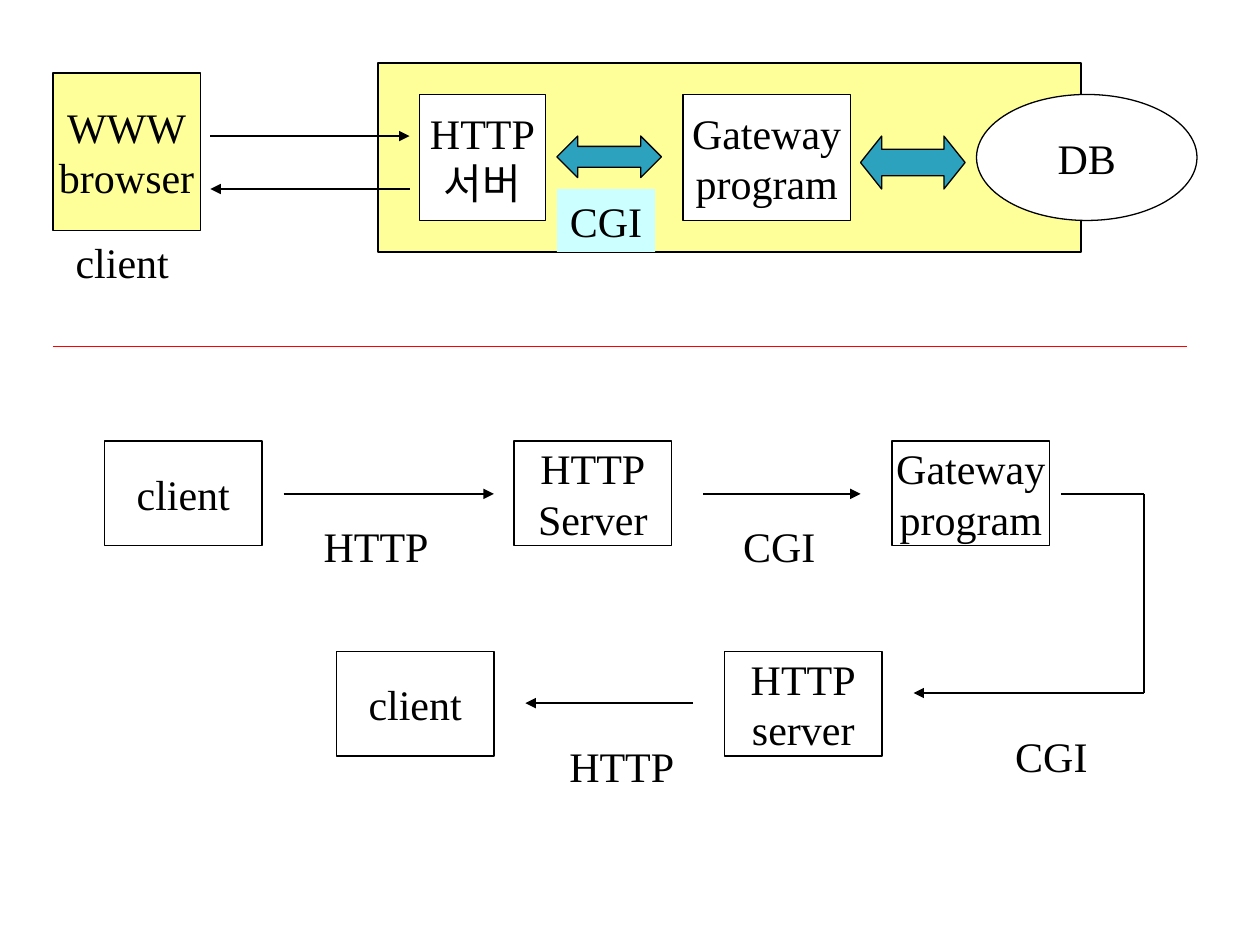
from pptx import Presentation
from pptx.dml.color import RGBColor
from pptx.enum.shapes import MSO_CONNECTOR, MSO_SHAPE
from pptx.enum.text import MSO_ANCHOR, PP_ALIGN
from pptx.oxml.ns import qn
from pptx.util import Inches, Pt
from lxml.etree import SubElement

COLORS = {
    "black": "000000",
    "white": "FFFFFF",
    "yellow": "FFFF99",
    "cyan": "CCFFFF",
    "teal": "2DA2BF",
    "red": "FF0000",
}
FONT = "Times New Roman"
RECT, OVAL, ARROW = MSO_SHAPE.RECTANGLE, MSO_SHAPE.OVAL, MSO_SHAPE.LEFT_RIGHT_ARROW

presentation = Presentation()
presentation.slide_width = Inches(10)
presentation.slide_height = Inches(7.5)
slide = presentation.slides.add_slide(presentation.slide_layouts[6])


def write(shape, text):
    """Put centred text in a shape, one paragraph per line."""
    text_frame = shape.text_frame
    text_frame.text = text
    text_frame.word_wrap = False
    text_frame.vertical_anchor = MSO_ANCHOR.MIDDLE
    for paragraph in text_frame.paragraphs:
        paragraph.alignment = PP_ALIGN.CENTER
        font = paragraph.runs[0].font
        font.name = FONT
        font.size = Pt(24)
        font.color.rgb = RGBColor.from_string(COLORS["black"])


def add_box(kind, left, top, width, height, fill, text="", outlined=True):
    shape = slide.shapes.add_shape(
        kind, Inches(left), Inches(top), Inches(width), Inches(height))
    shape.shadow.inherit = False
    shape.fill.solid()
    shape.fill.fore_color.rgb = RGBColor.from_string(COLORS[fill])
    if outlined:
        shape.line.color.rgb = RGBColor.from_string(COLORS["black"])
        shape.line.width = Pt(0.75)
    else:
        shape.line.fill.background()
    if text:
        write(shape, text)
    return shape


# Architecture: the browser on the left, the server side in the yellow panel
add_box(RECT, 0.42, 0.58, 1.17, 1.25, "yellow", "WWW\nbrowser")
add_box(RECT, 3, 0.5, 5.58, 1.5, "yellow")
add_box(RECT, 3.33, 0.75, 1, 1, "white", "HTTP\n서버")
add_box(RECT, 5.42, 0.75, 1.33, 1, "white", "Gateway\nprogram")
add_box(OVAL, 7.75, 0.75, 1.75, 1, "white", "DB")
for left, height, head_length in [(6.83, 0.42, 0.4), (4.42, 0.33, 0.5)]:
    arrow = add_box(ARROW, left, 1.08, 0.83, height, "teal")
    arrow.adjustments[0] = 0.5
    arrow.adjustments[1] = head_length
add_box(RECT, 4.42, 1.5, 0.78, 0.5, "cyan", "CGI", outlined=False)

# Request and response steps
steps = [
    (0.83, 3.5, "client"),
    (4.08, 3.5, "HTTP\nServer"),
    (7.08, 3.5, "Gateway\nprogram"),
    (5.75, 5.17, "HTTP\nserver"),
    (2.67, 5.17, "client"),
]
for left, top, text in steps:
    add_box(RECT, left, top, 1.25, 0.83, "white", text)

# Lines: start, end, width, colour, arrowhead at the end
lines = [
    ((1.67, 1.08), (3.25, 1.08), 1, "black", True),
    ((3.25, 1.5), (1.67, 1.5), 1, "black", True),
    ((2.25, 3.92), (3.92, 3.92), 0.75, "black", True),
    ((5.58, 3.92), (6.83, 3.92), 0.75, "black", True),
    ((8.42, 3.92), (9.08, 3.92), 0.75, "black", False),
    ((9.08, 3.92), (9.08, 5.5), 0.75, "black", False),
    ((9.08, 5.5), (7.25, 5.5), 0.75, "black", True),
    ((5.5, 5.58), (4.17, 5.58), 0.75, "black", True),
    ((0.42, 2.75), (9.42, 2.75), 0.75, "red", False),
]
for start, end, width, color, has_arrowhead in lines:
    connector = slide.shapes.add_connector(
        MSO_CONNECTOR.STRAIGHT, *map(Inches, start + end))
    connector.line.color.rgb = RGBColor.from_string(COLORS[color])
    connector.line.width = Pt(width)
    if has_arrowhead:
        SubElement(connector.line._get_or_add_ln(), qn("a:tailEnd"), type="triangle")
    SubElement(connector._element.spPr, qn("a:effectLst"))

# Captions: left, top, width, text, left margin
captions = [
    (0.25, 1.83, 1.19, "client", 0.27),
    (2.47, 4.08, 1.03, "HTTP", 0.02),
    (4.42, 5.83, 1.03, "HTTP", 0.02),
    (5.8, 4.08, 0.77, "CGI", 0.02),
    (7.96, 5.75, 0.77, "CGI", 0.02),
]
for left, top, width, text, margin in captions:
    caption = slide.shapes.add_textbox(
        Inches(left), Inches(top), Inches(width), Inches(0.5))
    write(caption, text)
    caption.text_frame.word_wrap = True
    caption.text_frame.margin_left = Inches(margin)
    caption.text_frame.margin_right = Inches(0.02)

presentation.save("out.pptx")
